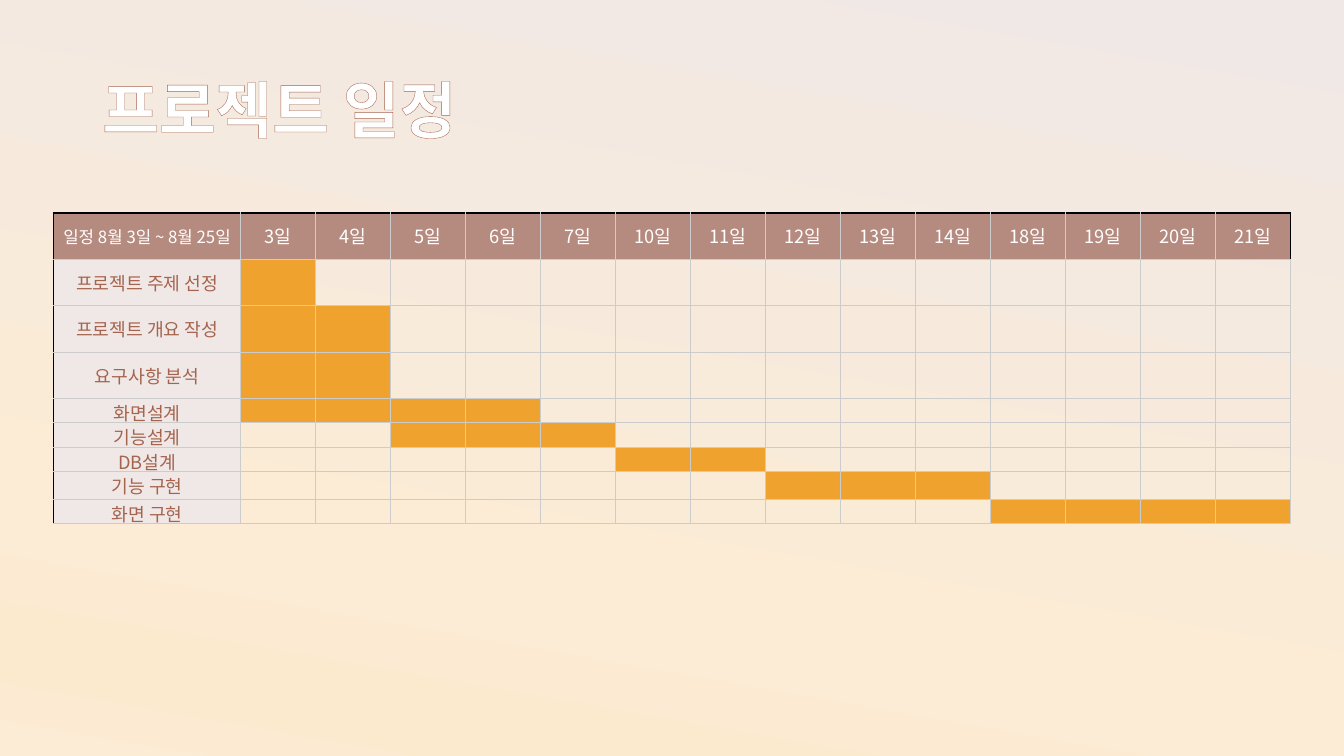
from lxml import etree
from pptx import Presentation, util as u
from pptx.dml.color import RGBColor
from pptx.enum import text
from pptx.oxml import parse_xml
from pptx.oxml.ns import qn

NS = "http://schemas.openxmlformats.org/drawingml/2006/main"
FONT = "Noto Sans CJK KR"
WHITE, BROWN, ROSE = "FFFFFF", "A5644E", "B58B80"
PALE, AMBER, GREY, BLACK = "F0E8E6", "F0A22E", "CCCCCC", "000000"

DAYS = [3, 4, 5, 6, 7, 10, 11, 12, 13, 14, 18, 19, 20, 21]
TASKS = [
    ("프로젝트 주제 선정", 3, 3, 1.17),
    ("프로젝트 개요 작성", 3, 4, 1.17),
    ("요구사항 분석", 3, 4, 1.17),
    ("화면설계", 3, 6, 0.61),
    ("기능설계", 5, 7, 0.61),
    ("DB설계", 10, 11, 0.61),
    ("기능 구현", 12, 14, 0.71),
    ("화면 구현", 18, 21, 0.61),
]


def color(code):
    return RGBColor.from_string(code)


def line(tag, code, width):
    return parse_xml(
        f'<a:{tag} xmlns:a="{NS}" w="{u.Pt(width)}"><a:solidFill>'
        f'<a:srgbClr val="{code}"/></a:solidFill></a:{tag}>'
    )


class Deck:
    def __init__(self, slide):
        self.slide = slide

    def backdrop(self, stops, angle):
        fill = self.slide.background.fill
        fill.gradient()
        fill.gradient_angle = 0
        grad = self.slide.element.find(".//" + qn("a:gradFill"))
        items = grad.find(qn("a:gsLst"))
        items.clear()
        for place, code in stops:
            stop = etree.SubElement(items, qn("a:gs"), pos=str(place * 1000))
            etree.SubElement(stop, qn("a:srgbClr"), val=code)
        grad.find(qn("a:lin")).set("ang", str(angle * 60000))

    def style(self, run, size, code, bold=False):
        font = run.font
        font.name, font.size, font.bold = FONT, u.Pt(size), bold
        font.color.rgb = color(code)
        east = etree.Element(qn("a:ea"), typeface=FONT)
        run._r.rPr.find(qn("a:latin")).addnext(east)

    def title(self, words, left, top, width, height):
        box = self.slide.shapes.add_textbox(
            u.Cm(left), u.Cm(top), u.Cm(width), u.Cm(height))
        frame = box.text_frame
        frame.word_wrap = True
        frame.vertical_anchor = text.MSO_ANCHOR.MIDDLE
        frame.text = words
        para = frame.paragraphs[0]
        para.line_spacing = 0.9
        run = para.runs[0]
        self.style(run, 44, WHITE, True)
        run._r.rPr.insert(0, line("ln", BROWN, 0.52))

    def cell(self, cell, words, fill, size, code, edges):
        cell.margin_left = cell.margin_right = u.Cm(0.05)
        cell.margin_top = cell.margin_bottom = u.Cm(0.03)
        cell.vertical_anchor = text.MSO_ANCHOR.MIDDLE
        for side in "LRTB":
            dark = side in edges
            cell._tc.tcPr.append(line(
                "ln" + side, BLACK if dark else GREY, 1.5 if dark else 0.75))
        if fill:
            cell.fill.solid()
            cell.fill.fore_color.rgb = color(fill)
        else:
            cell.fill.background()
        para = cell.text_frame.paragraphs[0]
        para.alignment = text.PP_ALIGN.CENTER
        if words:
            para.text = words
            self.style(para.runs[0], size, code)
        else:
            etree.SubElement(para._p, qn("a:endParaRPr"), sz=str(size * 100))

    def plan(self, left, top, first, step):
        rows, cols = len(TASKS) + 1, len(DAYS) + 1
        heights = [1.17] + [task[3] for task in TASKS]
        table = self.slide.shapes.add_table(
            rows, cols, u.Cm(left), u.Cm(top),
            u.Cm(first + step * len(DAYS)), u.Cm(sum(heights))).table
        table.first_row = table.horz_banding = False
        for row, height in zip(table.rows, heights):
            row.height = u.Cm(height)
        for i, col in enumerate(table.columns):
            col.width = u.Cm(step if i else first)

        self.cell(table.cell(0, 0), "일정 8월 3일 ~ 8월 25일",
                  ROSE, 12, WHITE, "LT")
        for c, day in enumerate(DAYS, 1):
            edges = "TR" if day == DAYS[-1] else "T"
            self.cell(table.cell(0, c), f"{day}일", ROSE, 13, WHITE, edges)
        for r, (name, start, end, _) in enumerate(TASKS, 1):
            self.cell(table.cell(r, 0), name, PALE, 13, BROWN, "L")
            for c, day in enumerate(DAYS, 1):
                fill = AMBER if start <= day <= end else None
                self.cell(table.cell(r, c), "", fill, 12, BROWN, "")


def main():
    prs = Presentation()
    prs.slide_width, prs.slide_height = u.Cm(33.87), u.Cm(19.05)
    deck = Deck(prs.slides.add_slide(prs.slide_layouts[6]))
    deck.backdrop([(0, PALE), (75, "FCECD5"), (89, "FCEACF"),
                   (100, "FCECD5")], 100)
    deck.title("프로젝트 일정", 2.33, 1.01, 29.21, 3.68)
    deck.plan(1.35, 5.36, 4.71, 1.89)
    prs.save("out.pptx")


if __name__ == "__main__":
    main()
